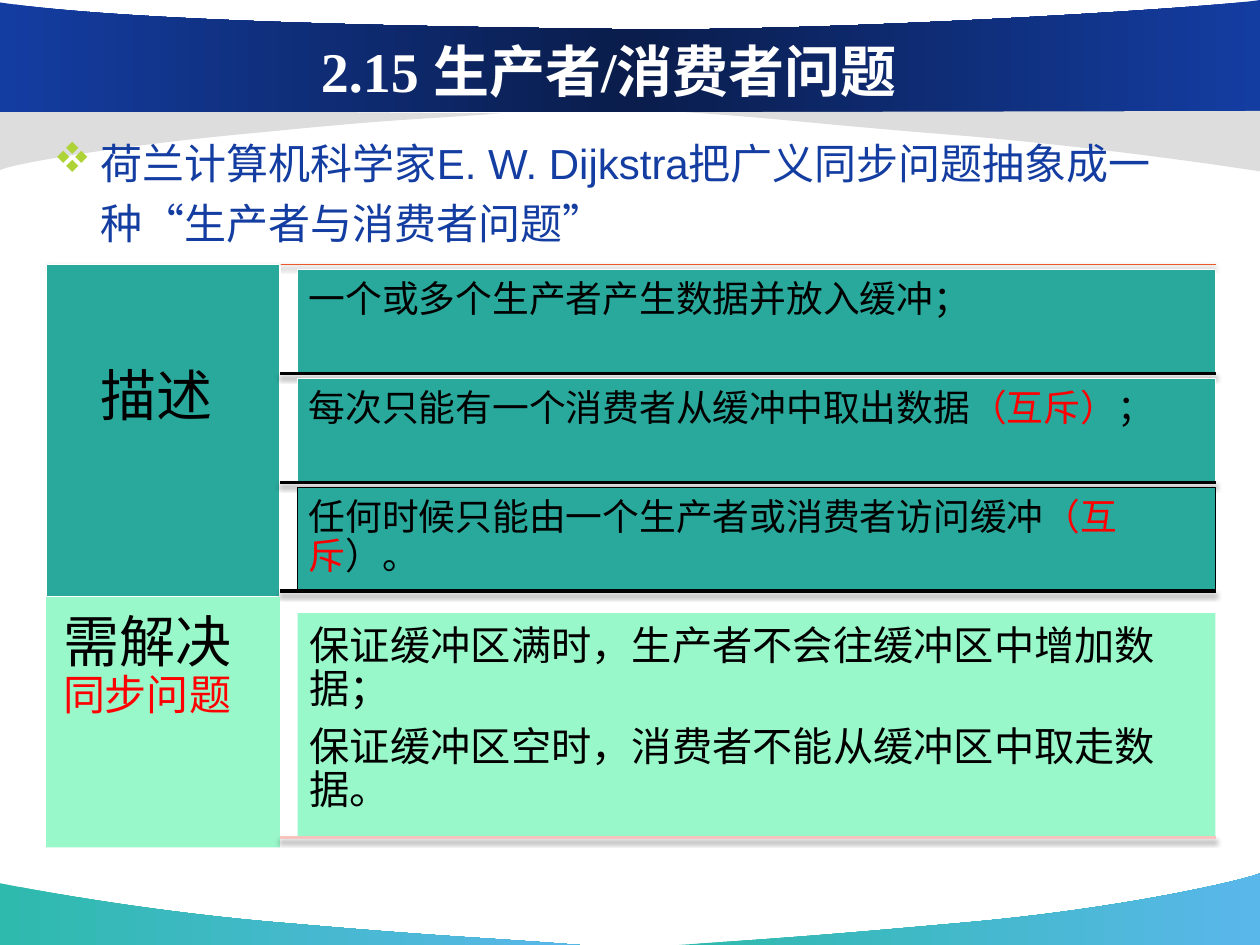
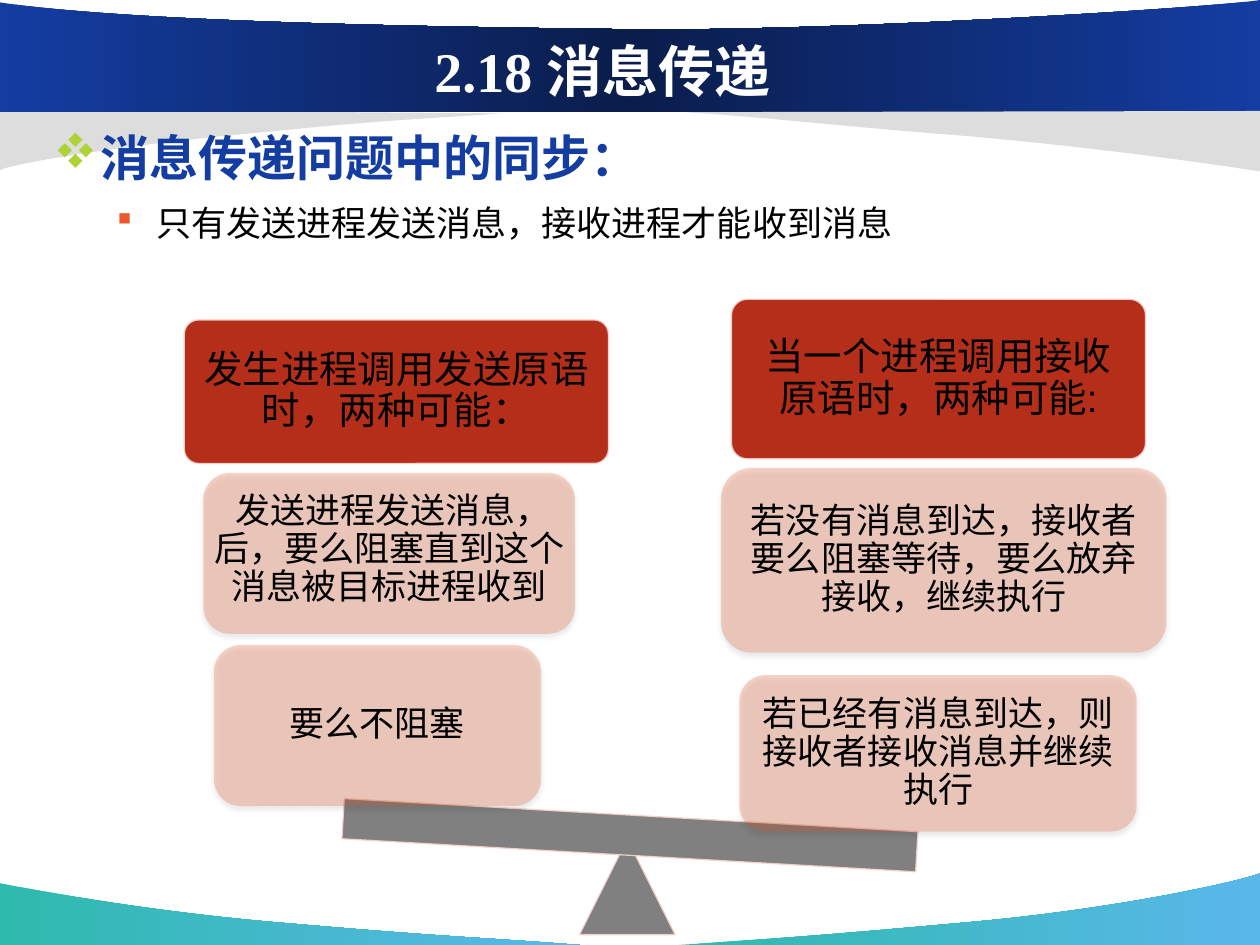
from lxml.etree import SubElement
from pptx import Presentation
from pptx.dml.color import RGBColor
from pptx.enum.shapes import MSO_CONNECTOR, MSO_SHAPE
from pptx.enum.text import MSO_ANCHOR, PP_ALIGN
from pptx.oxml.ns import qn
from pptx.util import Pt

WHITE = RGBColor(0xFF, 0xFF, 0xFF)
BLACK = RGBColor(0x00, 0x00, 0x00)
RED = RGBColor(0xFF, 0x00, 0x00)
GREY = RGBColor(0x80, 0x80, 0x80)
LIGHT_GREY = RGBColor(0xDD, 0xDD, 0xDD)
BLUE = RGBColor(0x14, 0x3D, 0xA2)
NAVY = RGBColor(0x0A, 0x1D, 0x4C)
SKY = RGBColor(0x5A, 0xB7, 0xEA)
TURQUOISE = RGBColor(0x2E, 0xBA, 0xAD)
TEAL = RGBColor(0x29, 0xA8, 0x9C)
MINT = RGBColor(0x99, 0xF8, 0xCA)
LIME = RGBColor(0xAE, 0xD3, 0x37)
ORANGE = RGBColor(0xEB, 0x59, 0x2B)
BRICK = RGBColor(0xB5, 0x2E, 0x1A)
PINK = RGBColor(0xF5, 0xC4, 0xBE)
PALE_PINK = RGBColor(0xF7, 0xD1, 0xCD)

BODY_FONT = "Arial"
TITLE_FONT = "Times New Roman"
BULLET_FONT = "Wingdings"
DIAMOND = ("v", LIME, 27, 27)
SQUARE = ("§", ORANGE, 58.5, 22.5)

# Each band: two joined Bezier curves (seven points), closing corners, colours.
BANDS = [
    ([(331.2, 540), (276.5, 535.7), (257.8, 535.7), (167, 527.8),
      (76.3, 520.6), (0.7, 504.7), (0, 504.7)], [(0, 540)], [TURQUOISE, SKY]),
    ([(388, 540), (442, 536.4), (465, 535), (553.7, 527),
      (642.2, 519.1), (712.8, 502.6), (720, 499)], [(720, 540)], [TURQUOISE, SKY]),
    ([(286.6, 64.8), (238.3, 68.4), (229, 67.7), (149.8, 75.6),
      (69.8, 82.8), (6.5, 93.6), (0, 97.2)], [(0, 62.6)], [LIGHT_GREY]),
    ([(720, 0), (694, 4.3), (470, 18.7), (350.6, 16.6),
      (231.1, 15.1), (72.7, 12.2), (0, 1.4)], [(0, 64.1), (720, 64.1)],
     [BLUE, NAVY, BLUE]),
    ([(391.7, 64.1), (446.4, 67.7), (462.2, 70.6), (553, 77.8),
      (643.7, 85.7), (719.3, 97.9), (720, 97.9)], [(720, 63.4)], [LIGHT_GREY]),
]


def curve_segments(shape, curve_count):
    """Turn each of the first triples of straight segments into one cubic curve."""
    outline = shape._element.spPr.find(".//" + qn("a:path"))
    segments = outline.findall(qn("a:lnTo"))
    for index in range(curve_count):
        first, *others = segments[index * 3:index * 3 + 3]
        first.tag = qn("a:cubicBezTo")
        for segment in others:
            first.append(segment[0])
            outline.remove(segment)


def set_alpha(parent, percent):
    color = parent.find(".//" + qn("a:srgbClr"))
    SubElement(color, qn("a:alpha"), val=str(percent * 1000))


def set_shadow(shape, opacity=0, distance=1.8):
    """Replace the theme shadow; call after fill and line are set."""
    effects = SubElement(shape._element.spPr, qn("a:effectLst"))
    if opacity:
        shadow = SubElement(effects, qn("a:outerShdw"), blurRad=str(Pt(3.1)),
                            dist=str(Pt(distance)), dir="5400000", rotWithShape="0")
        SubElement(shadow, qn("a:srgbClr"), val=str(BLACK))
        set_alpha(shadow, opacity)


def set_gradient(shape, colors):
    shape.fill.gradient()
    shape.fill.gradient_angle = 0
    stops = shape._element.spPr.find(".//" + qn("a:gsLst"))
    stops.clear()
    for index, color in enumerate(colors):
        position = 100000 * index // (len(colors) - 1)
        stop = SubElement(stops, qn("a:gs"), pos=str(position))
        SubElement(stop, qn("a:srgbClr"), val=str(color))


def set_bullet(paragraph, character, color, left, hanging):
    properties = paragraph._p.get_or_add_pPr()
    properties.set("marL", str(Pt(left)))
    properties.set("indent", str(-Pt(hanging)))
    bullet_color = SubElement(properties, qn("a:buClr"))
    SubElement(bullet_color, qn("a:srgbClr"), val=str(color))
    SubElement(properties, qn("a:buFont"), typeface=BULLET_FONT, charset="2")
    SubElement(properties, qn("a:buChar"), char=character)


def style_font(font, size, color, name=BODY_FONT, bold=False):
    font.name = name
    font.size = Pt(size)
    font.bold = bold
    font.color.rgb = color


class Deck:
    """Holds the presentation, its common style and the current slide."""

    def __init__(self):
        self.presentation = Presentation()
        self.presentation.slide_width = Pt(720)
        self.presentation.slide_height = Pt(540)
        self.shapes = None

    def new_slide(self, title):
        layout = self.presentation.slide_layouts[6]
        self.shapes = self.presentation.slides.add_slide(layout).shapes
        for curve, corners, colors in BANDS:
            self.band(curve, corners, colors)
        text_frame = self.text_box(66, 17.8, 564, 45).text_frame
        text_frame.vertical_anchor = MSO_ANCHOR.MIDDLE
        paragraph = text_frame.paragraphs[0]
        paragraph.text = title
        paragraph.alignment = PP_ALIGN.CENTER
        style_font(paragraph.runs[0].font, 32, WHITE, TITLE_FONT, True)

    def band(self, curve, corners, colors):
        start, *points = [(Pt(x), Pt(y)) for x, y in curve + corners]
        builder = self.shapes.build_freeform(*start)
        builder.add_line_segments(points)
        shape = builder.convert_to_shape()
        curve_segments(shape, 2)
        if len(colors) > 1:
            set_gradient(shape, colors)
        else:
            shape.fill.solid()
            shape.fill.fore_color.rgb = colors[0]
        shape.line.fill.background()
        set_shadow(shape)

    def text_box(self, left, top, width, height):
        box = self.shapes.add_textbox(Pt(left), Pt(top), Pt(width), Pt(height))
        box.text_frame.word_wrap = True
        return box

    def bullets(self, top, height, items):
        """items: (text, size, colour, bold, bullet settings)."""
        text_frame = self.text_box(23.6, top, 648, height).text_frame
        for index, (text, size, color, bold, bullet) in enumerate(items):
            paragraph = text_frame.add_paragraph() if index else text_frame.paragraphs[0]
            paragraph.text = text
            paragraph.line_spacing = 1.2
            if index:
                paragraph.level = index
                paragraph.space_before = Pt(size * 0.2)
            set_bullet(paragraph, *bullet)
            style_font(paragraph.runs[0].font, size, color, bold=bold)

    def block(self, kind, left, top, width, height, fill, line=None,
              fill_alpha=None, line_alpha=None, shadow=0):
        shape = self.shapes.add_shape(kind, Pt(left), Pt(top), Pt(width), Pt(height))
        shape.fill.solid()
        shape.fill.fore_color.rgb = fill
        if line is None:
            shape.line.fill.background()
        else:
            shape.line.color.rgb = line
            shape.line.width = Pt(0.75)
        properties = shape._element.spPr
        if fill_alpha:
            set_alpha(properties.find(qn("a:solidFill")), fill_alpha)
        if line_alpha:
            set_alpha(properties.find(qn("a:ln")), line_alpha)
        set_shadow(shape, shadow)
        return shape

    def label(self, shape, paragraphs, size, alignment=PP_ALIGN.LEFT,
              anchor=MSO_ANCHOR.TOP):
        """paragraphs: lists of runs, each (text, colour) or (text, colour, size)."""
        text_frame = shape.text_frame
        text_frame.word_wrap = True
        text_frame.vertical_anchor = anchor
        inset = Pt(size * 0.3)
        text_frame.margin_left = text_frame.margin_right = inset
        text_frame.margin_top = text_frame.margin_bottom = inset
        for index, runs in enumerate(paragraphs):
            paragraph = text_frame.add_paragraph() if index else text_frame.paragraphs[0]
            paragraph.alignment = alignment
            paragraph.line_spacing = 0.9
            paragraph.space_after = Pt(size * 0.35)
            paragraph._p.get_or_add_pPr().set("hangingPunct", "0")
            for text, color, *own_size in runs:
                run = paragraph.add_run()
                run.text = text
                style_font(run.font, own_size[0] if own_size else size, color)

    def rule(self, left, top, color, width=2, opacity=38, distance=1.6):
        line = self.shapes.add_connector(MSO_CONNECTOR.STRAIGHT, Pt(left), Pt(top),
                                         Pt(694.6), Pt(top))
        line.line.color.rgb = color
        line.line.width = Pt(width)
        set_shadow(line, opacity, distance)

    def heading_card(self, left, top, width, height, text):
        shape = self.block(MSO_SHAPE.ROUNDED_RECTANGLE, left, top, width, height,
                           BRICK, PALE_PINK, line_alpha=90)
        shape.adjustments[0] = 0.1
        self.label(shape, [[(text, BLACK)]], 22, PP_ALIGN.CENTER, MSO_ANCHOR.MIDDLE)

    def option_card(self, left, top, width, height, text, text_area=None):
        """The text has its own box, so that the card's shadow does not touch it."""
        self.block(MSO_SHAPE.ROUNDED_RECTANGLE, left, top, width, height,
                   ORANGE, fill_alpha=25, shadow=35)
        inset = height * 0.05
        box = self.text_box(*(text_area or (left + inset, top + inset,
                                            width - 2 * inset, height - 2 * inset)))
        self.label(box, [[(text, BLACK)]], 20, PP_ALIGN.CENTER, MSO_ANCHOR.MIDDLE)


def producer_consumer_slide(deck):
    deck.new_slide("2.15 生产者/消费者问题")
    deck.rule(26.4, 151.2, ORANGE, 0.75, 35, 1.8)
    description = deck.block(MSO_SHAPE.RECTANGLE, 26.4, 151.2, 133.6, 190, TEAL, WHITE)
    deck.label(description, [[("描述 ", BLACK)]], 32, PP_ALIGN.CENTER)
    description.text_frame.margin_top = Pt(59)

    rows = [
        ([("一个或多个生产者产生数据并放入缓冲；", BLACK)], WHITE),
        ([("每次只能有一个消费者从缓冲中取出数据", BLACK), ("（互斥）", RED),
          ("；", BLACK)], WHITE),
        ([("任何时候只能由一个生产者或消费者访问缓冲", BLACK), ("（互斥", RED),
          ("）。", BLACK)], BLACK),
    ]
    for index, (runs, outline) in enumerate(rows):
        top = 154.2 + index * 62.2
        row = deck.block(MSO_SHAPE.RECTANGLE, 170.1, top, 524.4, 59.2, TEAL, outline)
        deck.label(row, [runs], 21)
        deck.rule(160, top + 59.2, BLACK)

    problem = deck.block(MSO_SHAPE.RECTANGLE, 26.4, 341.2, 133.6, 143, MINT)
    deck.label(problem, [[("需解决", BLACK), ("同步问题", RED, 24)]], 32)
    solution = deck.block(MSO_SHAPE.RECTANGLE, 170.1, 350.4, 524.4, 128.2, MINT)
    deck.label(solution, [
        [("保证缓冲区满时，生产者不会往缓冲区中增加数据；", BLACK)],
        [("保证缓冲区空时，消费者不能从缓冲区中取走数据。", BLACK)],
    ], 23)
    deck.rule(160, 478.7, PINK)
    deck.bullets(69.2, 21, [
        ("荷兰计算机科学家E. W. Dijkstra把广义同步问题抽象成一种“生产者与消费者问题”",
         24, BLUE, False, DIAMOND),
    ])


def message_passing_slide(deck):
    deck.new_slide("2.18 消息传递 ")
    deck.bullets(62.6, 390, [
        ("消息传递问题中的同步：", 28, BLUE, True, DIAMOND),
        ("只有发送进程发送消息，接收进程才能收到消息", 20, BLACK, False, SQUARE),
    ])
    deck.heading_card(105.3, 182.8, 242.4, 82, "发生进程调用发送原语时，两种可能：")
    deck.heading_card(418, 171, 236.6, 91.2, "当一个进程调用接收原语时，两种可能:")
    deck.block(MSO_SHAPE.ISOSCELES_TRIANGLE, 331.2, 479.5, 54.6, 54.6, GREY, PALE_PINK,
               line_alpha=90)
    beam = deck.block(MSO_SHAPE.RECTANGLE, 195.8, 465.8, 328.4, 23, GREY, PALE_PINK,
                      line_alpha=90)
    beam.rotation = 3.3
    deck.option_card(422.6, 385.8, 227, 89.4,
                     "若已经有消息到达，则接收者接收消息并继续执行")
    deck.option_card(412, 267.4, 254.6, 105.6,
                     "若没有消息到达，接收者要么阻塞等待，要么放弃接收，继续执行")
    deck.option_card(122.2, 368.6, 187, 92, "要么不阻塞")
    deck.option_card(116.2, 270.2, 212.4, 92,
                     " 发送进程发送消息，后，要么阻塞直到这个消息被目标进程收到",
                     (116.2, 272.8, 212.6, 83.5))


def main():
    deck = Deck()
    producer_consumer_slide(deck)
    message_passing_slide(deck)
    deck.presentation.save("out.pptx")


if __name__ == "__main__":
    main()
